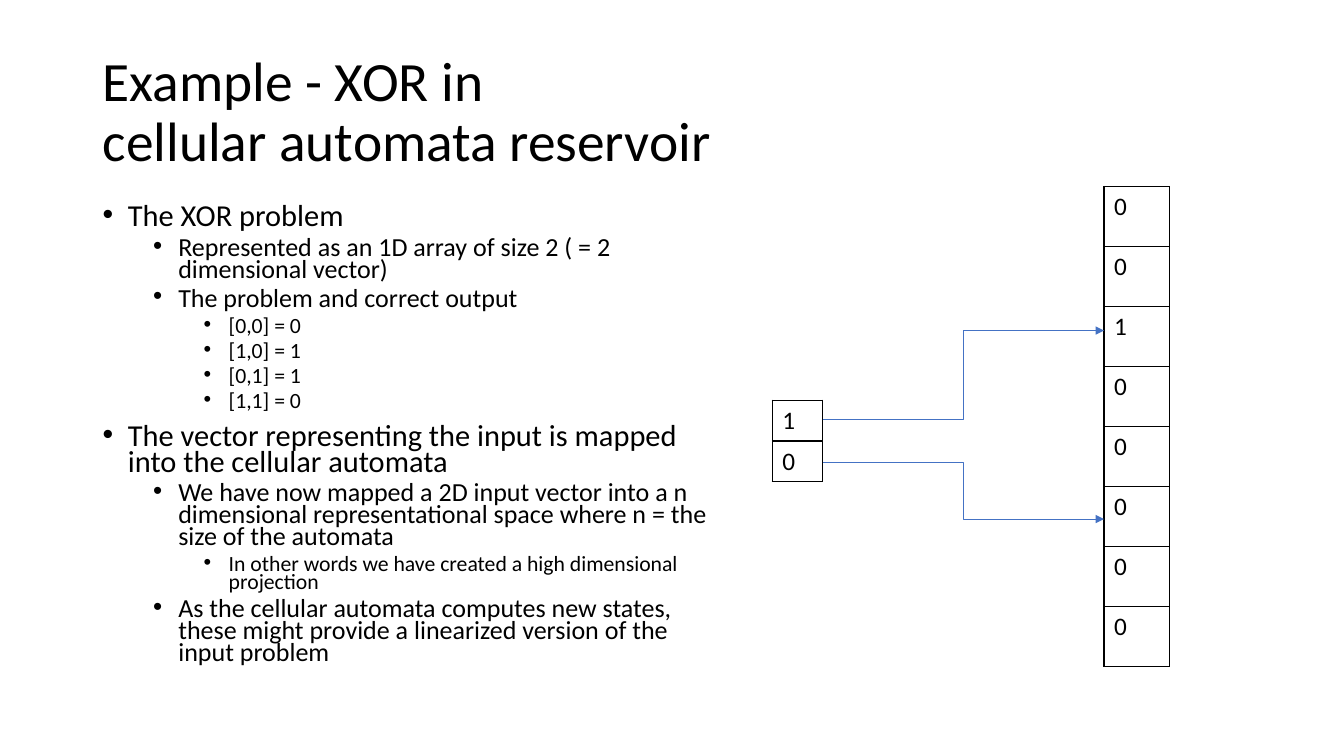
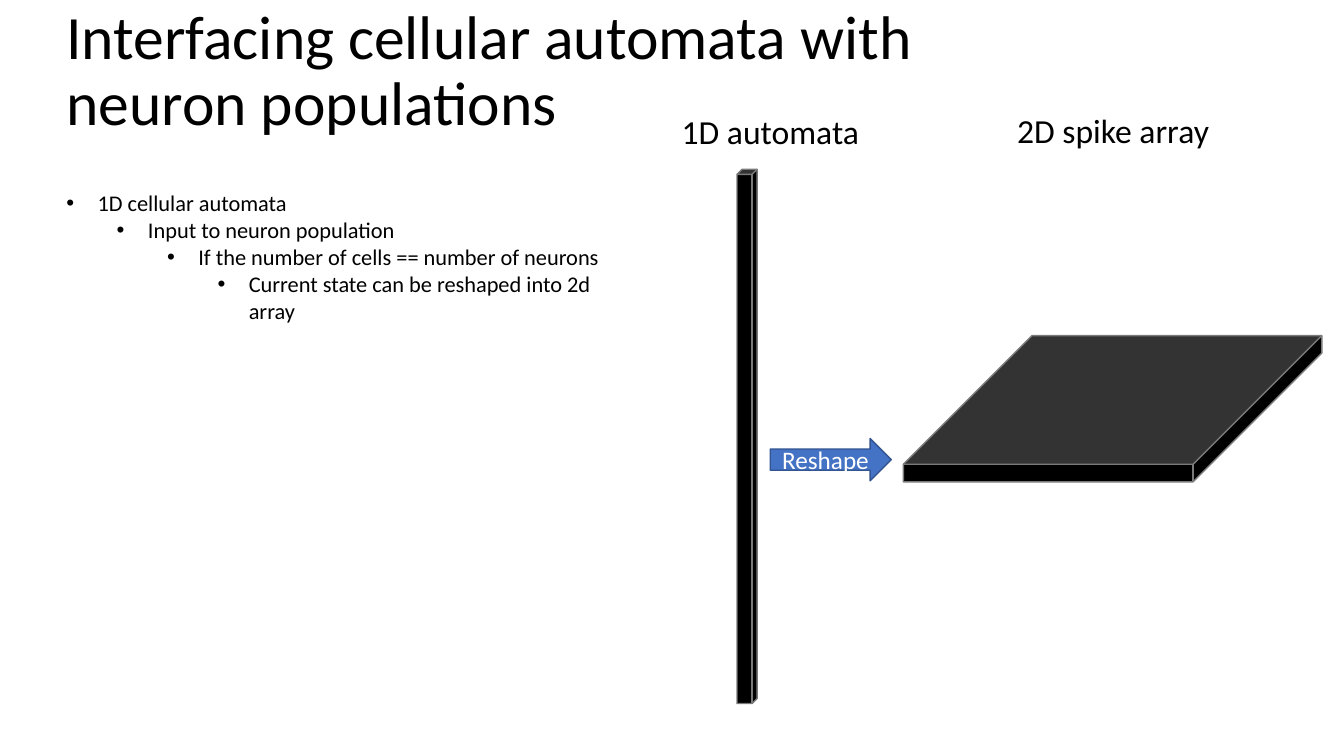
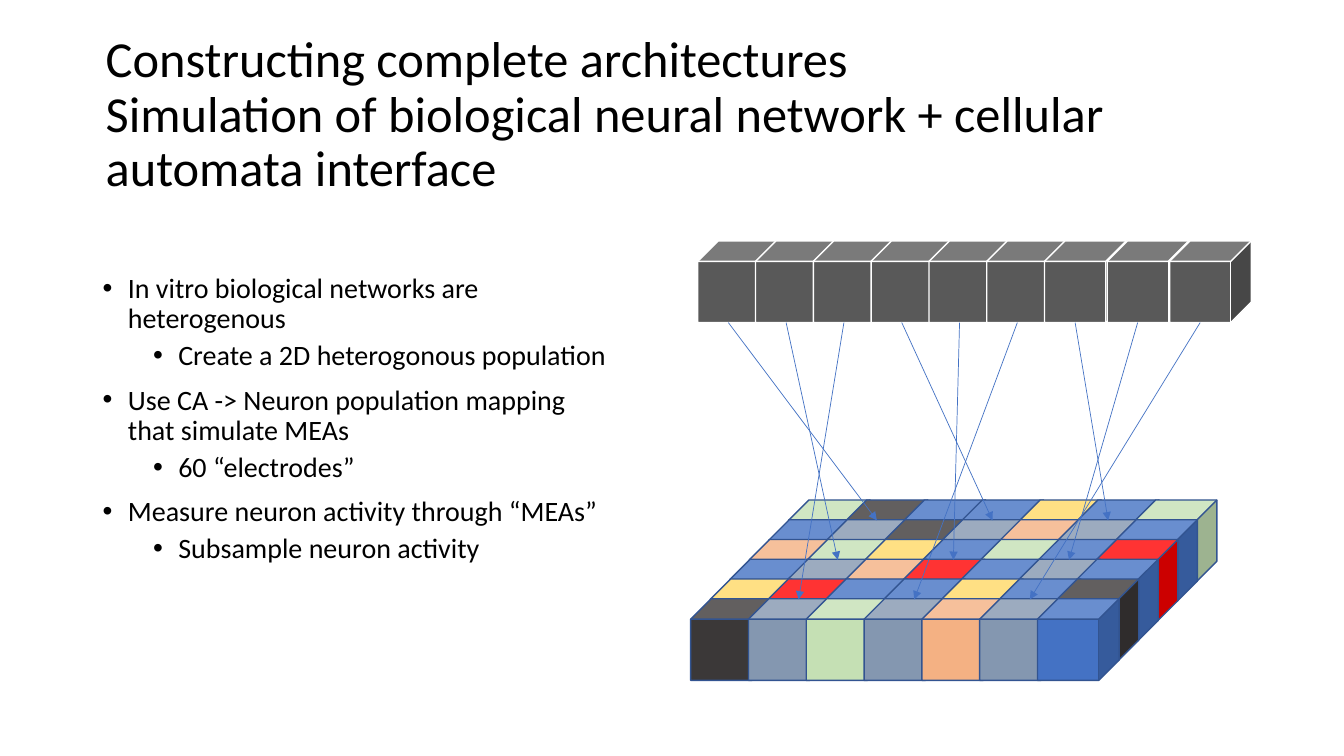
"""Builds three slides on cellular automata and neuron populations."""
from dataclasses import dataclass
from typing import Optional

from lxml.etree import SubElement
from pptx import Presentation
from pptx.dml.color import RGBColor
from pptx.enum.shapes import MSO_CONNECTOR, MSO_SHAPE
from pptx.enum.text import MSO_ANCHOR, PP_ALIGN
from pptx.oxml.ns import qn
from pptx.shapes.autoshape import Shape
from pptx.slide import Slide
from pptx.text.text import TextFrame, _Paragraph
from pptx.util import Emu, Inches, Pt

WIDTH, HEIGHT = Inches(13.33), Inches(7.5)
UNIT = HEIGHT / 75
FACE = "Calibri"

BLACK = RGBColor(0x00, 0x00, 0x00)
WHITE = RGBColor(0xFF, 0xFF, 0xFF)
BLUE = RGBColor(0x44, 0x72, 0xC4)
NAVY = RGBColor(0x32, 0x54, 0x91)
GREY = RGBColor(0x7A, 0x7A, 0x7A)
SLATE = RGBColor(0x59, 0x59, 0x59)

TINTS = {
    "B": BLUE,
    "G": RGBColor(0xC5, 0xE0, 0xB4),
    "K": RGBColor(0x3B, 0x38, 0x38),
    "P": RGBColor(0xF4, 0xB1, 0x83),
    "R": RGBColor(0xFF, 0x00, 0x00),
    "S": RGBColor(0x84, 0x97, 0xB0),
    "Y": RGBColor(0xFF, 0xD9, 0x66),
}
PLATE = ("GKBBYBG", "BSKSPSB", "PGYBGBR", "BSPRBSB", "YRBBYBK", "KSGSPSB")

SIDE = 8.1
DEPTH = SIDE / 4
MID = (SIDE - DEPTH) / 2
STEP = 34.4 / 6
SHIFT = 9.7 / 5
DROP = 9.8 / 5


@dataclass(frozen=True)
class Box:
    """A frame in columns and rows of the grid."""
    left: float
    top: float
    width: float
    height: float

    def frame(self) -> tuple[Emu, Emu, Emu, Emu]:
        """Gives the frame as slide lengths."""
        return (span(self.left), span(self.top),
                span(self.width), span(self.height))


@dataclass(frozen=True)
class Point:
    """A line end in columns and rows of the grid."""
    left: float
    top: float


@dataclass(frozen=True)
class Item:
    """One bullet with its level."""
    level: int
    text: str


@dataclass(frozen=True)
class Style:
    """The look of a bullet list: sizes by level and spacing."""
    sizes: tuple[float, ...]
    lines: float
    gaps: tuple[float, float]
    hang: float


def span(count: float) -> Emu:
    """Turns grid units into a length."""
    return Emu(round(count * UNIT))


def set_font(para: _Paragraph, size: float, tint: RGBColor = BLACK) -> None:
    """Sets the font of a paragraph."""
    para.font.name = FACE
    para.font.size = Pt(size)
    para.font.color.rgb = tint


def add_text(slide: Slide, box: Box) -> TextFrame:
    """Adds an empty box that wraps its text."""
    frame = slide.shapes.add_textbox(*box.frame()).text_frame
    frame.word_wrap = True
    return frame


def add_title(slide: Slide, box: Box, text: str, size: float) -> None:
    """Adds a slide title."""
    frame = add_text(slide, box)
    frame.vertical_anchor = MSO_ANCHOR.MIDDLE
    para = frame.paragraphs[0]
    para.text = text
    para.line_spacing = 0.9
    set_font(para, size)


def add_label(slide: Slide, box: Box, text: str) -> None:
    """Adds a centred caption."""
    para = add_text(slide, box).paragraphs[0]
    para.text = text
    para.alignment = PP_ALIGN.CENTER
    set_font(para, 24)


def add_list(slide: Slide, box: Box, items: list[Item], style: Style) -> None:
    """Adds a list of bullets."""
    frame = add_text(slide, box)
    for index, item in enumerate(items):
        para = frame.add_paragraph() if index else frame.paragraphs[0]
        para.text = item.text
        para.level = item.level
        para.line_spacing = style.lines
        para.space_before = Pt(style.gaps[min(item.level, 1)] if index else 0)
        props = para._p.get_or_add_pPr()
        props.set("marL", str(span(style.hang + 5 * item.level)))
        props.set("indent", str(span(-style.hang)))
        SubElement(props, qn("a:buFont"), typeface="Arial")
        SubElement(props, qn("a:buChar"), char="•")
        set_font(para, style.sizes[item.level])


def add_cells(slide: Slide, box: Box, values: str) -> None:
    """Adds a one-column table with a black grid."""
    table = slide.shapes.add_table(len(values), 1, *box.frame()).table
    table.first_row = table.horz_banding = False
    for index, value in enumerate(values):
        cell = table.cell(index, 0)
        props = cell._tc.get_or_add_tcPr()
        for edge in ("a:lnL", "a:lnR", "a:lnT", "a:lnB"):
            line = SubElement(props, qn(edge), w=str(Pt(1)))
            fill = SubElement(line, qn("a:solidFill"))
            SubElement(fill, qn("a:srgbClr"), val=str(BLACK))
        cell.fill.solid()
        cell.fill.fore_color.rgb = WHITE
        cell.text = value
        set_font(cell.text_frame.paragraphs[0], 18)


def add_form(slide: Slide, kind: MSO_SHAPE, box: Box, fill: RGBColor,
             edge: RGBColor, bend: Optional[float] = None) -> Shape:
    """Adds a filled shape with a thin edge."""
    form = slide.shapes.add_shape(kind, *box.frame())
    form.shadow.inherit = False
    form.fill.solid()
    form.fill.fore_color.rgb = fill
    form.line.color.rgb = edge
    form.line.width = Pt(1)
    if bend is not None:
        form.adjustments[0] = bend
    return form


def add_arrow(slide: Slide, start: Point, end: Point,
              kind: MSO_CONNECTOR = MSO_CONNECTOR.STRAIGHT) -> None:
    """Adds a thin blue arrow."""
    arrow = slide.shapes.add_connector(
        kind, span(start.left), span(start.top), span(end.left), span(end.top))
    arrow.line.color.rgb = BLUE
    arrow.line.width = Pt(0.5)
    props = arrow._element.spPr
    SubElement(props.find(qn("a:ln")), qn("a:tailEnd"), type="triangle")
    SubElement(props, qn("a:effectLst"))


def draw_xor(slide: Slide) -> None:
    """Draws the XOR example."""
    add_title(slide, Box(9.2, 4, 63.2, 14.5),
              "Example - XOR in\vcellular automata reservoir", 39.6)
    add_list(slide, Box(9.2, 20, 63.2, 47.6), [
        Item(0, "The XOR problem"),
        Item(1, "Represented as an 1D array of size 2 ( = 2 dimensional vector)"),
        Item(1, "The problem and correct output"),
        Item(2, "[0,0] = 0"),
        Item(2, "[1,0] = 1"),
        Item(2, "[0,1] = 1"),
        Item(2, "[1,1] = 0"),
        Item(0, "The vector representing the input is mapped into the "
                "cellular automata"),
        Item(1, "We have now mapped a 2D input vector into a n dimensional "
                "representational space where n = the size of the automata"),
        Item(2, "In other words we have created a high dimensional projection"),
        Item(1, "As the cellular automata computes new states, these might "
                "provide a linearized version of the input problem"),
    ], Style((21.7, 18.6, 15.5), 0.7, (10, 5), 2.5))
    add_cells(slide, Box(109.5, 18.5, 6.5, 47.6), "00100000")
    add_cells(slide, Box(76.6, 39.7, 5, 8.1), "10")
    for start, end in ((41.6, 32.8), (45.9, 51.5)):
        add_arrow(slide, Point(81.6, start), Point(109.5, end),
                  MSO_CONNECTOR.ELBOW)


def draw_link(slide: Slide) -> None:
    """Draws the reshaping of automata into a spike array."""
    add_title(slide, Box(5.6, 0, 100.2, 14.4),
              "Interfacing cellular automata with neuron populations", 44)
    add_list(slide, Box(5.6, 18.3, 56, 17.5), [
        Item(0, "1D cellular automata"),
        Item(1, "Input to neuron population"),
        Item(2, "If the number of cells == number of neurons"),
        Item(3, "Current state can be reshaped into 2d array"),
    ], Style((16,) * 4, 1.0, (0, 0), 3.1))
    add_form(slide, MSO_SHAPE.CUBE, Box(73.1, 16.8, 2, 53), BLACK, GREY)
    add_form(slide, MSO_SHAPE.CUBE, Box(89.6, 33.3, 41.5, 14.5),
             BLACK, GREY, 0.88)
    arrow = add_form(slide, MSO_SHAPE.RIGHT_ARROW, Box(76.4, 43.5, 12, 4.2),
                     BLUE, NAVY)
    arrow.text_frame.vertical_anchor = MSO_ANCHOR.MIDDLE
    para = arrow.text_frame.paragraphs[0]
    para.text = "Reshape"
    para.alignment = PP_ALIGN.CENTER
    set_font(para, 18, WHITE)
    add_label(slide, Box(64.5, 10.5, 23.8, 5), "1D automata")
    add_label(slide, Box(93.1, 10.4, 34.6, 5), "2D spike array")


def draw_whole(slide: Slide) -> None:
    """Draws the complete architecture."""
    add_title(slide, Box(9.5, 2.5, 115, 18),
              "Constructing complete architectures\vSimulation of biological "
              "neural network + cellular automata interface", 36)
    add_list(slide, Box(9.2, 26.7, 52.5, 40.9), [
        Item(0, "In vitro biological networks are heterogenous"),
        Item(1, "Create a 2D heterogonous population"),
        Item(0, "Use CA -> Neuron population mapping that simulate MEAs"),
        Item(1, "60 “electrodes”"),
        Item(0, "Measure neuron activity through “MEAs”"),
        Item(1, "Subsample neuron activity"),
    ], Style((20, 20), 0.9, (10, 5), 2.5))
    lefts = [69.2 + STEP * min(col, 6) + 6.2 * max(col - 6, 0)
             for col in range(9)]
    for left in lefts:
        add_form(slide, MSO_SHAPE.CUBE, Box(left, 23.9, SIDE, SIDE),
                 SLATE, WHITE)
    spots = [[Point(78.2 + STEP * col - SHIFT * row, 49.6 + DROP * row)
              for col in range(7)] for row in range(6)]
    for codes, row in zip(PLATE, spots):
        for code, spot in zip(codes, row):
            add_form(slide, MSO_SHAPE.CUBE,
                     Box(spot.left, spot.top, SIDE, SIDE), TINTS[code], NAVY)
    for index, left in enumerate(lefts):
        spot = spots[2 * (index % 3)][2 * (index // 3) + 1]
        add_arrow(slide, Point(left + MID, 23.9 + SIDE),
                  Point(spot.left + MID, spot.top + DEPTH))


def main() -> None:
    """Builds and saves the deck."""
    deck = Presentation()
    deck.slide_width, deck.slide_height = WIDTH, HEIGHT
    for draw in (draw_xor, draw_link, draw_whole):
        draw(deck.slides.add_slide(deck.slide_layouts[6]))
    deck.save("out.pptx")


if __name__ == "__main__":
    main()
